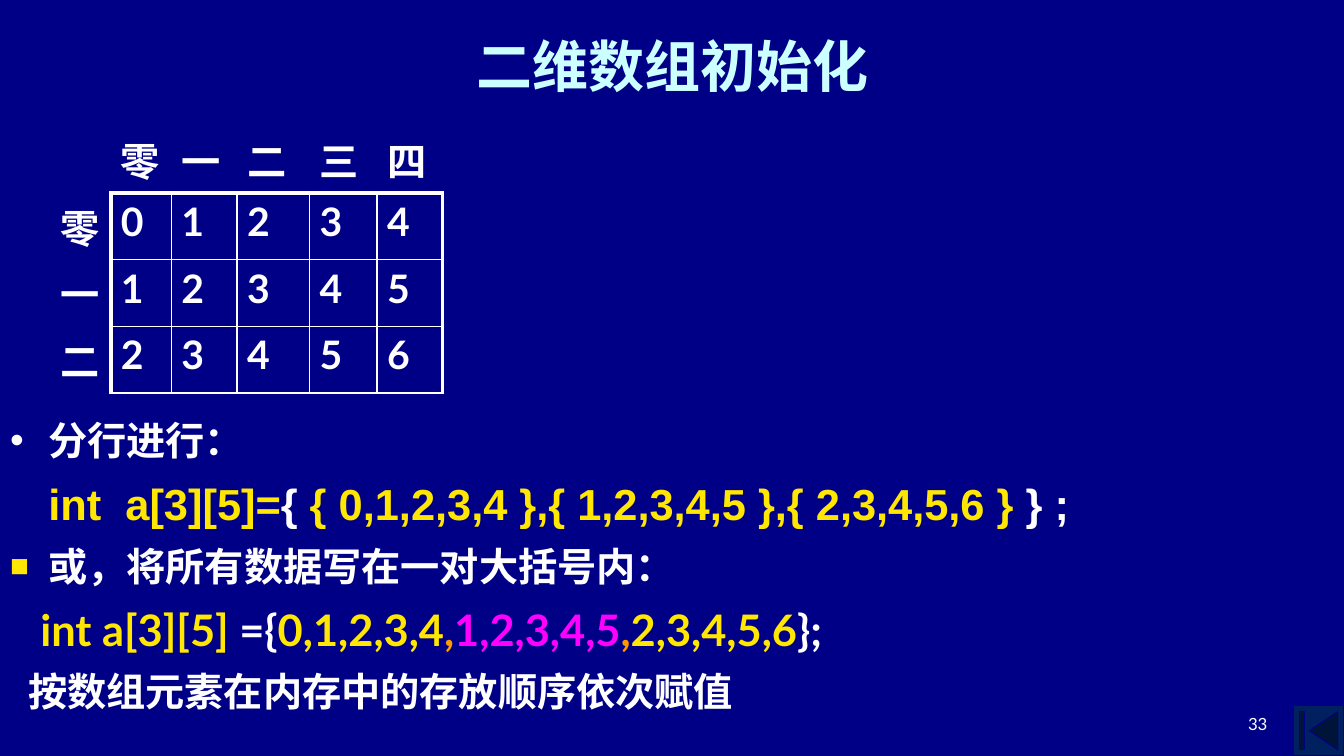
from lxml import etree
from pptx import Presentation
from pptx.dml.color import RGBColor
from pptx.enum.shapes import MSO_SHAPE
from pptx.enum.text import MSO_ANCHOR, MSO_AUTO_SIZE, PP_ALIGN
from pptx.oxml.ns import qn
from pptx.util import Inches, Pt

NAVY = RGBColor(0x00, 0x00, 0x86)
BLUE = RGBColor(0x00, 0x20, 0x60)
WHITE = RGBColor(0xFF, 0xFF, 0xFF)
AQUA = RGBColor(0xCC, 0xFF, 0xFF)
YELLOW = RGBColor(0xFF, 0xE7, 0x01)
ORANGE = RGBColor(0xFF, 0x99, 0x00)
PINK = RGBColor(0xFF, 0x00, 0xFF)
BUTTON = MSO_SHAPE.ACTION_BUTTON_BEGINNING
MIDDLE, BOTTOM, TOP = MSO_ANCHOR.MIDDLE, MSO_ANCHOR.BOTTOM, MSO_ANCHOR.TOP
CENTER, RIGHT = PP_ALIGN.CENTER, PP_ALIGN.RIGHT
FIXED = MSO_AUTO_SIZE.NONE
PLAIN = "{2D5ABB26-0587-4C30-8999-92F81FD0307C}"


def style(font, color, **form):
    font.color.rgb = color
    for key, value in form.items():
        setattr(font, key, value)


def node(parent, tag, **attrs):
    child = etree.SubElement(parent, qn(tag))
    for key, value in attrs.items():
        child.set(key, str(value))
    return child


deck = Presentation()
deck.slide_width, deck.slide_height = Inches(13.33), Inches(7.5)
slide = deck.slides.add_slide(deck.slide_layouts[1])
slide.background.fill.solid()
slide.background.fill.fore_color.rgb = NAVY
shapes = slide.shapes
title, body = shapes.title, slide.placeholders[1]

button = shapes.add_shape(BUTTON, Inches(12.83), Inches(7), Inches(0.5), Inches(0.5))
button.shadow.inherit = False
button.fill.solid()
button.fill.fore_color.rgb = BLUE
button.line.color.rgb = NAVY
button.line.width = Pt(0.75)

number = shapes.add_textbox(Inches(9.56), Inches(6.83), Inches(3.11), Inches(0.5))
number.text_frame.text = "33"
title.text_frame.text = "二维数组初始化"
places = [
    (title, (2.17, 0.3, 9, 0.69), MIDDLE),
    (body, (0, 4.08, 12.8, 3.22), TOP),
    (number, (9.56, 6.83, 3.11, 0.5), BOTTOM),
]
for shape, box, anchor in places:
    shape.left, shape.top, shape.width, shape.height = map(Inches, box)
    frame = shape.text_frame
    frame.word_wrap = True
    frame.auto_size = FIXED
    frame.vertical_anchor = anchor

labels = [
    (title, CENTER, AQUA, dict(size=Pt(40), name="Arial", bold=True)),
    (number, RIGHT, WHITE, dict(size=Pt(12), name="Lato")),
]
for shape, align, color, form in labels:
    para = shape.text_frame.paragraphs[0]
    para.alignment = align
    style(para.runs[0].font, color, **form)

lines = [
    (0.38, -0.38, "•", "Lato", 28, [("分行进行：", WHITE)]),
    (0.38, 0, None, "Arial", 31, [
        ("int  a[3][5]=", YELLOW), ("{", WHITE),
        (" { 0,1,2,3,4 },{ 1,2,3,4,5 },{ 2,3,4,5,6 } ", YELLOW), ("} ;", WHITE)]),
    (0.38, -0.38, "■", "Lato", 28, [("或，将所有数据写在一对大括号内：", WHITE)]),
    (0.3, 0, None, "Lato", 31, [
        ("int a[3][5]", YELLOW), (" ={", WHITE), ("0,1,2,3,4", YELLOW),
        (",", ORANGE), ("1,2,3,4,5", PINK), (",", ORANGE),
        ("2,3,4,5,6", YELLOW), ("};", WHITE)]),
    (0.18, 0, None, "Lato", 28, [("按数组元素在内存中的存放顺序依次赋值", WHITE)]),
]
frame = body.text_frame
for index, (left, indent, mark, face, size, parts) in enumerate(lines):
    para = frame.add_paragraph() if index else frame.paragraphs[0]
    props = para._p.get_or_add_pPr()
    props.set("marL", str(Inches(left)))
    props.set("indent", str(Inches(indent)))
    if mark == "■":
        node(node(props, "a:buClr"), "a:srgbClr", val=YELLOW)
        node(props, "a:buSzPct", val=80000)
    if mark:
        node(props, "a:buFont", typeface="Arial")
        node(props, "a:buChar", char=mark)
    else:
        node(props, "a:buNone")
    if index:
        para.line_spacing = 1.1
    else:
        para.space_before = Pt(0)
    for text, color in parts:
        run = para.add_run()
        run.text = text
        style(run.font, color, name=face, size=Pt(size), bold=True)

heads = "零一二三四"
widths = [0.6, 0.6, 0.65, 0.72, 0.67, 0.65]
rows, cols = 4, len(widths)
grid = shapes.add_table(rows, cols, Inches(0.5), Inches(1.25), Inches(3.89), Inches(2.52)).table
grid.first_row = grid.horz_banding = False
grid._tbl.tblPr.find(qn("a:tableStyleId")).text = PLAIN
for col, width in zip(grid.columns, widths):
    col.width = Inches(width)
for r in range(rows):
    grid.rows[r].height = Inches(0.63)
    for c in range(cols):
        cell = grid.cell(r, c)
        if r and c:
            cell.text = str(r + c - 2)
        elif r or c:
            cell.text = heads[r + c - 1]
        para = cell.text_frame.paragraphs[0]
        style(para.font, WHITE, size=Pt(28), name="Lato", bold=True)
        for run in para.runs:
            style(run.font, WHITE, size=Pt(28), name="Lato", bold=True)
        edges = {}
        if r and c:
            edges = {
                "a:lnL": 3 if c == 1 else 1,
                "a:lnR": 2.25 if c == cols - 1 else 1,
                "a:lnT": 3 if r == 1 else 1,
                "a:lnB": 2.25 if r == rows - 1 else 1,
            }
        elif r:
            edges = {"a:lnR": 3}
        elif c:
            edges = {"a:lnB": 3}
        props = cell._tc.get_or_add_tcPr()
        for tag, weight in edges.items():
            edge = node(props, tag, w=Pt(weight))
            node(node(edge, "a:solidFill"), "a:srgbClr", val=WHITE)
        cell.fill.background()

deck.save("out.pptx")
